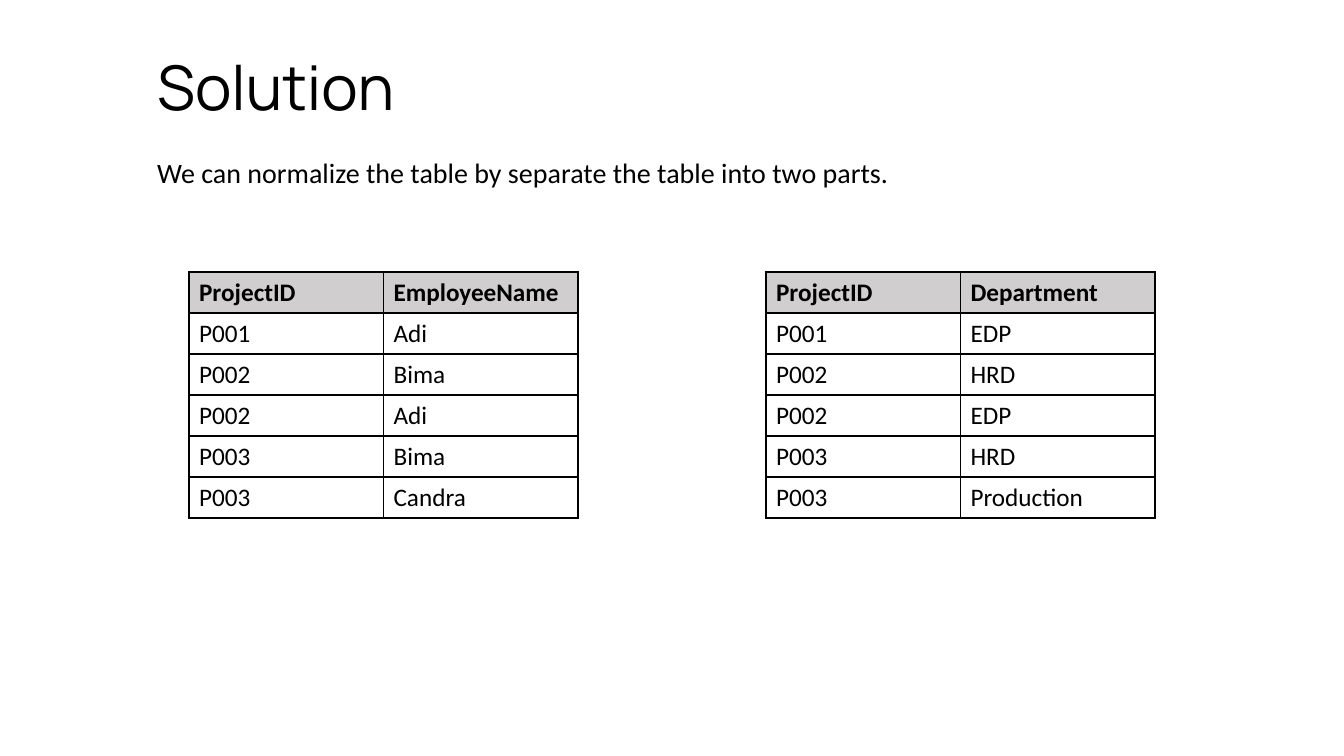
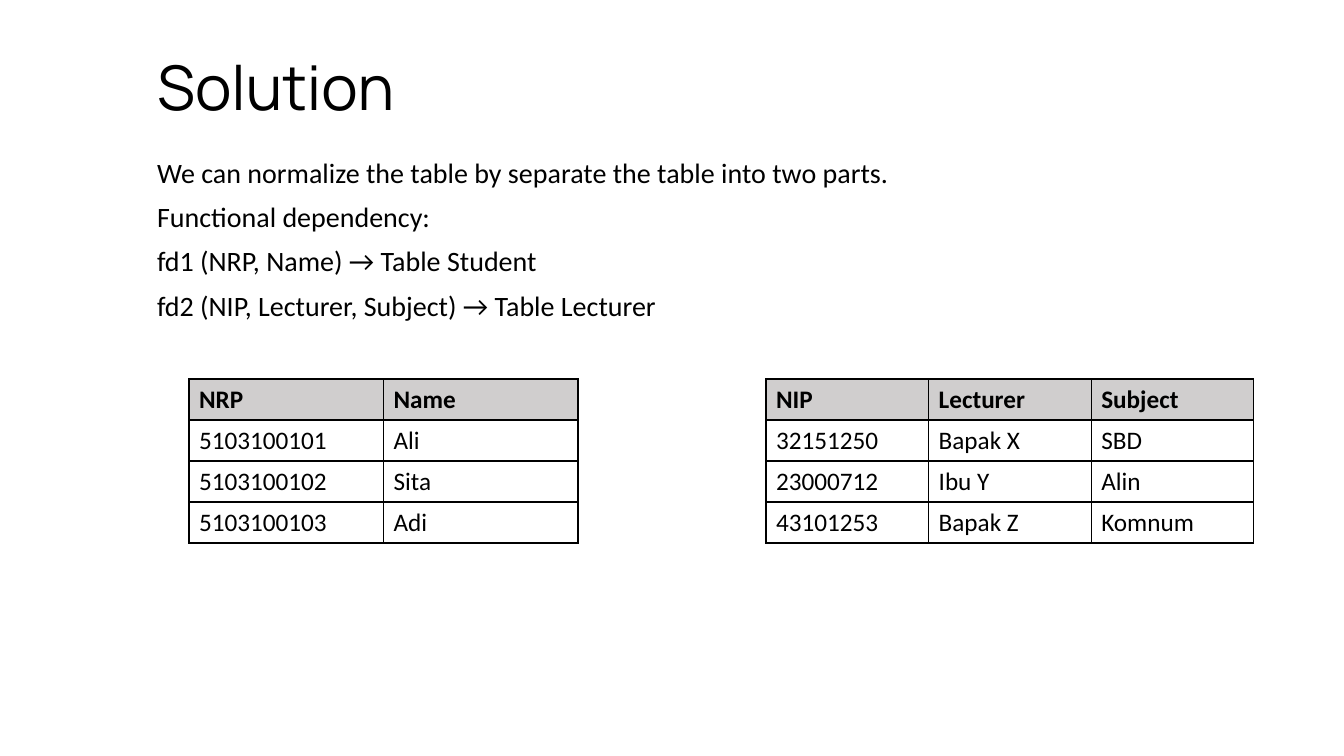
import pptx
import pptx.util
import pptx.dml.color
import pptx.enum.text
import pptx.oxml
import pptx.oxml.ns

SLIDE_W, SLIDE_H = 1344, 756
SCALE = 12192000 / SLIDE_W
COLORS = {"text": "000000", "header": "D0CECE", "border": "000000", "back": "FFFFFF"}
TITLE_FONT, BODY_FONT = "Manrope", "Calibri"
LEFT, TEXT_W = 147, 1008
LEFT_TABLE, RIGHT_TABLE = 189, 766
ROW_H = 41
INTRO = "We can normalize the table by separate the table into two parts."


def px(n):
    return round(n * SCALE)


def rgb(name):
    return pptx.dml.color.RGBColor.from_string(COLORS[name])


def write(tf, lines, size, font=BODY_FONT, bold=False, spacing=None, before=0):
    for i, line in enumerate(lines):
        p = tf.paragraphs[0] if i == 0 else tf.add_paragraph()
        p.alignment = pptx.enum.text.PP_ALIGN.LEFT
        p.line_spacing = spacing
        p.space_before = pptx.util.Pt(before)
        r = p.add_run()
        r.text = line
        r.font.name = font
        r.font.size = pptx.util.Pt(size)
        r.font.bold = bold
        r.font.color.rgb = rgb("text")


def fill_placeholder(sp, top, height, lines, anchor, **style):
    sp.left, sp.top = px(LEFT), px(top)
    sp.width, sp.height = px(TEXT_W), px(height)
    tf = sp.text_frame
    tf.word_wrap = True
    tf.auto_size = pptx.enum.text.MSO_AUTO_SIZE.NONE
    tf.vertical_anchor = anchor
    write(tf, lines, spacing=0.9, **style)


def add_borders(cell):
    tcPr = cell._tc.get_or_add_tcPr()
    for i, side in enumerate(("lnL", "lnR", "lnT", "lnB")):
        tcPr.insert(i, pptx.oxml.parse_xml(
            f'<a:{side} {pptx.oxml.ns.nsdecls("a")} w="12700"><a:solidFill>'
            f'<a:srgbClr val="{COLORS["border"]}"/></a:solidFill></a:{side}>'))


def add_data_table(s, left, top, width, rows):
    cols = len(rows[0])
    frame = s.shapes.add_table(len(rows), cols, px(left), px(top),
                               px(width), px(ROW_H * len(rows)))
    table = frame.table
    table.horz_banding = False
    for col in table.columns:
        col.width = px(width / cols)
    for i, row in enumerate(rows):
        table.rows[i].height = px(ROW_H)
        for j, value in enumerate(row):
            cell = table.cell(i, j)
            if i == 0:
                cell.fill.solid()
                cell.fill.fore_color.rgb = rgb("header")
            else:
                cell.fill.background()
            add_borders(cell)
            write(cell.text_frame, [value], 18, bold=i == 0)


def add_solution_slide(prs, lines, body_height):
    s = prs.slides.add_slide(prs.slide_layouts[0])
    anchor = pptx.enum.text.MSO_ANCHOR
    fill_placeholder(s.shapes.title, 35, 94, ["Solution"], anchor.BOTTOM,
                     size=44, font=TITLE_FONT)
    fill_placeholder(s.placeholders[1], 154, body_height, lines, anchor.TOP,
                     size=20, before=10)
    return s


def main():
    prs = pptx.Presentation()
    prs.slide_width, prs.slide_height = px(SLIDE_W), px(SLIDE_H)
    back = prs.slide_master.background.fill
    back.solid()
    back.fore_color.rgb = rgb("back")

    s = add_solution_slide(prs, [INTRO], 94)
    add_data_table(s, LEFT_TABLE, 272, 389, [
        ("ProjectID", "EmployeeName"),
        ("P001", "Adi"),
        ("P002", "Bima"),
        ("P002", "Adi"),
        ("P003", "Bima"),
        ("P003", "Candra"),
    ])
    add_data_table(s, RIGHT_TABLE, 272, 389, [
        ("ProjectID", "Department"),
        ("P001", "EDP"),
        ("P002", "HRD"),
        ("P002", "EDP"),
        ("P003", "HRD"),
        ("P003", "Production"),
    ])

    s = add_solution_slide(prs, [
        INTRO,
        "Functional dependency:",
        "fd1 (NRP, Name) → Table Student",
        "fd2 (NIP, Lecturer, Subject) → Table Lecturer",
    ], 245)
    add_data_table(s, LEFT_TABLE, 379, 389, [
        ("NRP", "Name"),
        ("5103100101", "Ali"),
        ("5103100102", "Sita"),
        ("5103100103", "Adi"),
    ])
    add_data_table(s, RIGHT_TABLE, 379, 488, [
        ("NIP", "Lecturer", "Subject"),
        ("32151250", "Bapak X", "SBD"),
        ("23000712", "Ibu Y", "Alin"),
        ("43101253", "Bapak Z", "Komnum"),
    ])
    prs.save("out.pptx")


main()
